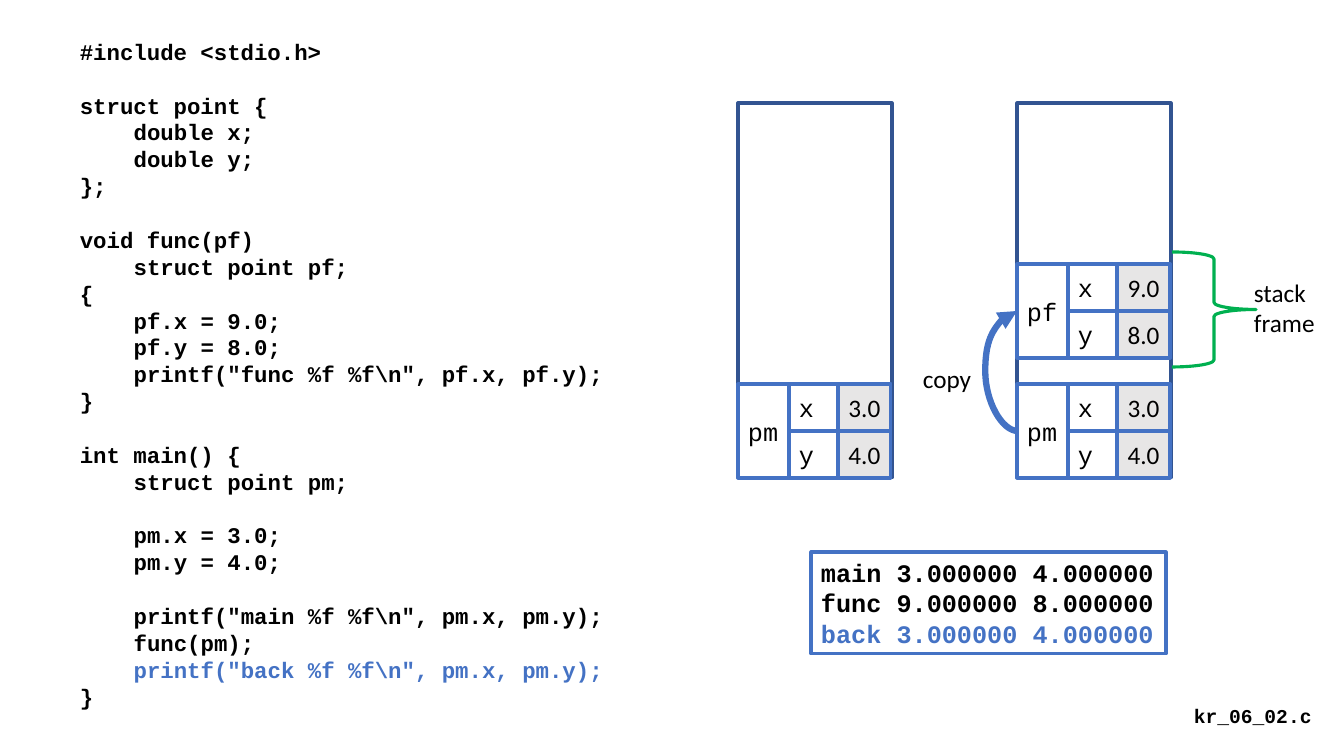
"""Build a slide on passing a C struct by value, with its stack diagrams."""
from lxml import etree
from pptx import Presentation, util as u
from pptx.dml.color import RGBColor
from pptx.enum import shapes, text
from pptx.oxml.ns import qn

BLACK = RGBColor(0x00, 0x00, 0x00)
WHITE = RGBColor(0xFF, 0xFF, 0xFF)
BLUE = RGBColor(0x44, 0x72, 0xC4)
NAVY = RGBColor(0x32, 0x54, 0x91)
GREY = RGBColor(0xE7, 0xE6, 0xE6)
GREEN = RGBColor(0x00, 0xB0, 0x50)
MONO, SANS = "Courier New", "Calibri"
BACK = "back"

CODE = [
    ["#include <stdio.h>"],
    ["struct point {", "\tdouble x;", "\tdouble y;", "};"],
    ["void func(pf)", "\tstruct point pf;", "{", "\tpf.x = 9.0;", "\tpf.y = 8.0;",
     '\tprintf("func %f %f\\n", pf.x, pf.y);', "}"],
    ["int main() {", "\tstruct point pm;"],
    ["\tpm.x = 3.0;", "\tpm.y = 4.0;"],
    ['\tprintf("main %f %f\\n", pm.x, pm.y);', "\tfunc(pm);",
     '\tprintf("back %f %f\\n", pm.x, pm.y);', "}"],
]
OUTPUT = [["main 3.000000 4.000000", "func 9.000000 8.000000", "back 3.000000 4.000000"]]
PM = ("pm", 384, {"x": "3.0", "y": "4.0"})
PF = ("pf", 264, {"x": "9.0", "y": "8.0"})
STACKS = [(738, [PM]), (1017, [PM, PF])]
STACK_TOP, STACK_WIDTH, STACK_HEIGHT = 103, 154, 375
ROW, LABEL_X, LABEL_WIDTH, VALUE_X, VALUE_WIDTH = 47, 51, 87, 100, 53
CODE_SIZE, CODE_LINE, OUTPUT_LINE = 16, 19.2, 21.8
TAB = u.Pt(CODE_SIZE * 0.6 * 4)


def px(count):
    return u.Emu(round(count * 914400 / 100.8))


def add_line(para, words, size=18, font=SANS, color=BLACK, bold=False):
    span = para.add_run()
    span.text = words
    span.font.size, span.font.name, span.font.bold = u.Pt(size), font, bold
    span.font.color.rgb = color


def add_text(box, lines, wrap=True, **style):
    frame = box.text_frame
    frame.word_wrap = wrap
    for number, words in enumerate(lines):
        para = frame.add_paragraph() if number else frame.paragraphs[0]
        para.alignment = text.PP_ALIGN.LEFT
        add_line(para, words, **style)
    return frame


def add_code(box, blocks, size, spacing):
    frame = box.text_frame
    frame.word_wrap = False
    frame.vertical_anchor = text.MSO_ANCHOR.TOP
    lines = [(words, place) for block in blocks for place, words in enumerate(block)]
    for number, (words, place) in enumerate(lines):
        para = frame.add_paragraph() if number else frame.paragraphs[0]
        para.alignment = text.PP_ALIGN.LEFT
        para.line_spacing = u.Pt(spacing)
        para.space_before = u.Pt(spacing if number and not place else 0)
        if words.startswith("\t"):
            para._p.get_or_add_pPr().set("marL", str(TAB))
        color = BLUE if BACK in words else BLACK
        add_line(para, words.strip(), size, MONO, color, True)


def add_box(page, place, fill=WHITE, line=BLUE, kind=shapes.MSO_SHAPE.RECTANGLE):
    box = page.shapes.add_shape(kind, *map(px, place))
    box.shadow.inherit = False
    if fill is None:
        box.fill.background()
    else:
        box.fill.solid()
        box.fill.fore_color.rgb = fill
    box.line.color.rgb = line
    box.line.width = u.Pt(2.25)
    return box


def add_cell(page, place, words, font=MONO, fill=WHITE):
    frame = add_text(add_box(page, place, fill), [words], font=font)
    frame.vertical_anchor = text.MSO_ANCHOR.MIDDLE
    return frame


def add_struct(page, left, name, top, fields):
    add_cell(page, (left, top, VALUE_X + VALUE_WIDTH, 2 * ROW), name)
    for row, (field, value) in reversed(list(enumerate(fields.items()))):
        y = top + row * ROW
        add_cell(page, (left + LABEL_X, y, LABEL_WIDTH, ROW), field)
        frame = add_cell(page, (left + VALUE_X, y, VALUE_WIDTH, ROW), value, SANS, GREY)
        frame.paragraphs[0].alignment = text.PP_ALIGN.CENTER


def add_copy_arrow(page):
    arrow = page.shapes.add_connector(
        shapes.MSO_CONNECTOR.CURVE, px(1017), px(311), px(1018), px(431))
    arrow.line.color.rgb = BLUE
    arrow.line.width = u.Pt(4.5)
    props = arrow._element.spPr
    props.find(qn("a:xfrm")).set("rot", "10800000")
    guides = props.find(qn("a:prstGeom")).get_or_add_avLst()
    etree.SubElement(guides, qn("a:gd"), name="adj1", fmla="val 3300000")
    etree.SubElement(props.find(qn("a:ln")), qn("a:tailEnd"), type="triangle")
    etree.SubElement(props, qn("a:effectLst"))


def add_label(page, place, lines, **style):
    add_text(page.shapes.add_textbox(*map(px, place)), lines, **style)


deck = Presentation()
deck.slide_width, deck.slide_height = px(1344), px(756)
page = deck.slides.add_slide(deck.slide_layouts[6])

add_label(page, (1184, 699, 152, 34), ["kr_06_02.c"], size=14, font=MONO, bold=True)
listing = page.shapes.add_textbox(*map(px, (70, 33, 551, 692)))
add_code(listing, CODE, CODE_SIZE, CODE_LINE)
add_code(add_box(page, (811, 552, 355, 102), None), OUTPUT, 18, OUTPUT_LINE)

for left, structs in STACKS:
    add_box(page, (left, STACK_TOP, STACK_WIDTH, STACK_HEIGHT), line=NAVY)
    for struct in structs:
        add_struct(page, left, *struct)

brace = add_box(page, (1172, 252, 84, 115), None, GREEN, shapes.MSO_SHAPE.LEFT_BRACE)
brace._element.spPr.find(qn("a:xfrm")).set("flipH", "1")
add_label(page, (1244, 272, 89, 72), ["stack", "frame"])
add_copy_arrow(page)
add_label(page, (913, 358, 70, 40), ["copy"], wrap=False)

deck.save("out.pptx")
